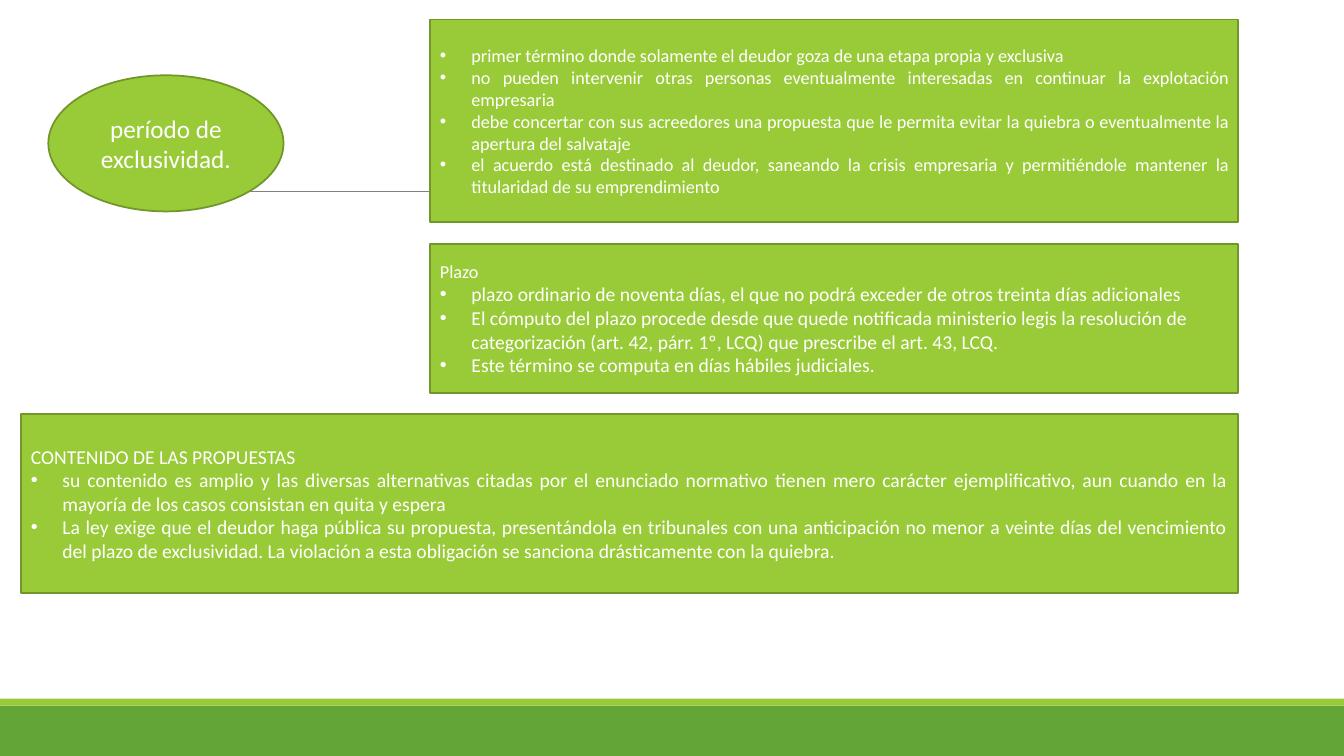
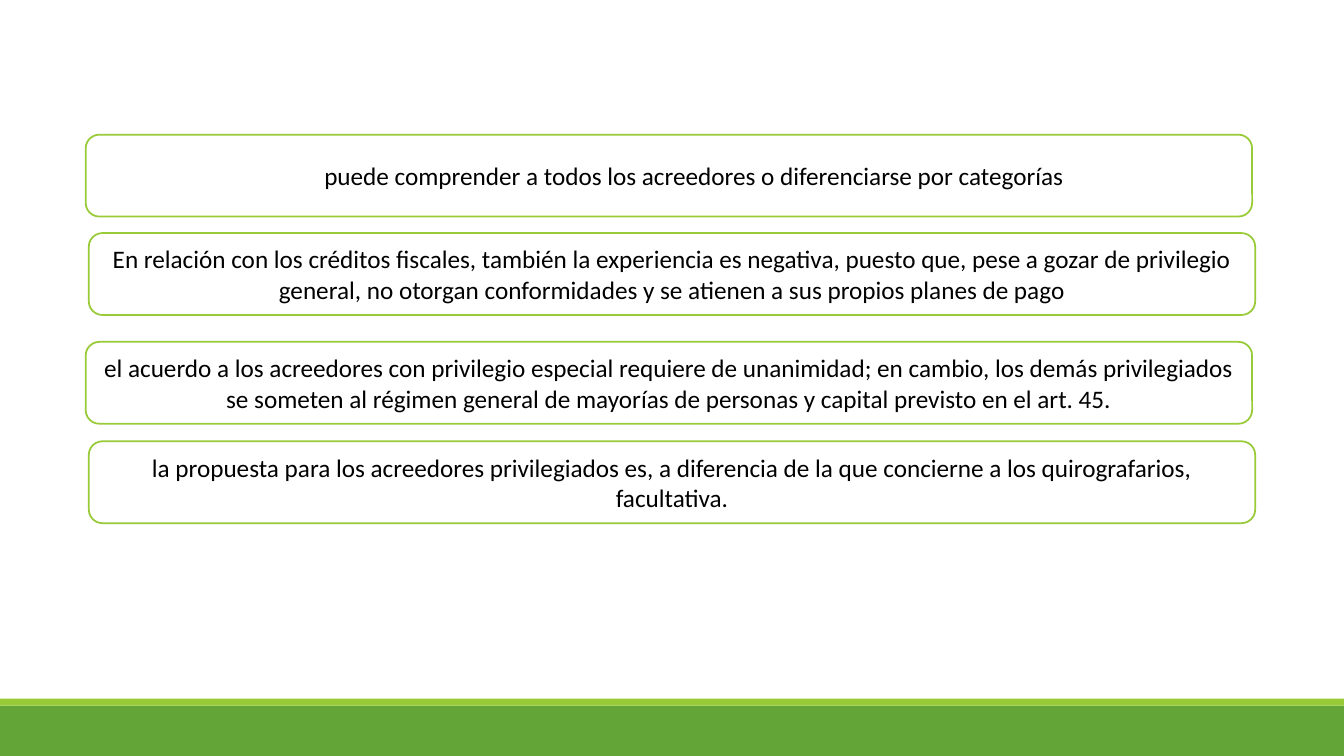
from dataclasses import dataclass

from lxml.etree import SubElement
from pptx import Presentation
from pptx.dml.color import RGBColor
from pptx.enum.shapes import MSO_CONNECTOR, MSO_SHAPE
from pptx.enum.text import MSO_ANCHOR, PP_ALIGN
from pptx.oxml.ns import qn
from pptx.presentation import Presentation as Deck
from pptx.shapes.autoshape import Shape
from pptx.slide import Slide
from pptx.text.text import TextFrame
from pptx.util import Pt

COLORS = {
    "band": "63A537",
    "lime": "99CB38",
    "olive": "719629",
    "rule": "808080",
    "white": "FFFFFF",
    "black": "000000",
}
FONT = "Calibri"
SLIDE_WIDTH, SLIDE_HEIGHT = 960, 540
BULLET_INDENT = 22.5
OUTLINE_WIDTH = 1.25


@dataclass(frozen=True)
class Box:
    left: float
    top: float
    width: float
    height: float


@dataclass(frozen=True)
class Panel:
    box: Box
    bullets: tuple[str, ...]
    heading: str = ""
    heading_size: float = 14
    bullet_size: float = 14
    align: PP_ALIGN = PP_ALIGN.JUSTIFY


@dataclass(frozen=True)
class Statement:
    left: float
    top: float
    text: str
    indent: float = 0


BANDS = (
    (Box(0, 504, SLIDE_WIDTH, 36), "band"),
    (Box(0, 499, SLIDE_WIDTH, 5), "lime"),
)

PERIOD = Box(34.5, 53.8, 168, 97.2)
RULE_START, RULE_END, RULE_TOP = 94.3, 879, 136.8
PANELS = (
    Panel(
        Box(307.2, 14, 577.3, 144.7),
        (
            "primer término donde solamente el deudor goza de una etapa propia y exclusiva",
            "no pueden intervenir otras personas eventualmente interesadas en continuar "
            "la explotación empresaria",
            "debe concertar con sus acreedores una propuesta que le permita evitar la "
            "quiebra o eventualmente la apertura del salvataje",
            "el acuerdo está destinado al deudor, saneando la crisis empresaria y "
            "permitiéndole mantener la titularidad de su emprendimiento",
        ),
        bullet_size=13,
    ),
    Panel(
        Box(307.2, 174.2, 577.3, 106.6),
        (
            "plazo ordinario de noventa días, el que no podrá exceder de otros treinta "
            "días adicionales",
            "El cómputo del plazo procede desde que quede notificada ministerio legis la "
            "resolución de categorización (art. 42, párr. 1º, LCQ) que prescribe el "
            "art. 43, LCQ.",
            "Este término se computa en días hábiles judiciales.",
        ),
        heading="Plazo",
        heading_size=13,
        align=PP_ALIGN.LEFT,
    ),
    Panel(
        Box(15, 295.7, 869.5, 128),
        (
            "su contenido es amplio y las diversas alternativas citadas por el enunciado "
            "normativo tienen mero carácter ejemplificativo, aun cuando en la mayoría de "
            "los casos consistan en quita y espera",
            "La ley exige que el deudor haga pública su propuesta, presentándola en "
            "tribunales con una anticipación no menor a veinte días del vencimiento del "
            "plazo de exclusividad. La violación a esta obligación se sanciona "
            "drásticamente con la quiebra.",
        ),
        heading="CONTENIDO DE LAS PROPUESTAS",
    ),
)

STATEMENT_WIDTH, STATEMENT_HEIGHT = 833.2, 58.5
STATEMENTS = (
    Statement(
        61.2, 96.2,
        "puede comprender a todos los acreedores o diferenciarse por categorías",
        indent=36,
    ),
    Statement(
        63.4, 166.5,
        "En relación con los créditos fiscales, también la experiencia es negativa, "
        "puesto que, pese a gozar de privilegio general, no otorgan conformidades y se "
        "atienen a sus propios planes de pago",
    ),
    Statement(
        61.2, 244.2,
        "el acuerdo a los acreedores con privilegio especial requiere de unanimidad; en "
        "cambio, los demás privilegiados se someten al régimen general de mayorías de "
        "personas y capital previsto en el art. 45.",
    ),
    Statement(
        63.4, 315.2,
        "la propuesta para los acreedores privilegiados es, a diferencia de la que "
        "concierne a los quirografarios, facultativa.",
    ),
)


def rgb(color: str) -> RGBColor:
    return RGBColor.from_string(COLORS[color])


def add_box(slide: Slide, kind: MSO_SHAPE, box: Box, fill: str, outline: str = "") -> Shape:
    shape = slide.shapes.add_shape(
        kind, Pt(box.left), Pt(box.top), Pt(box.width), Pt(box.height)
    )
    shape.shadow.inherit = False
    shape.fill.solid()
    shape.fill.fore_color.rgb = rgb(fill)
    if outline:
        shape.line.color.rgb = rgb(outline)
        shape.line.width = Pt(OUTLINE_WIDTH)
    else:
        shape.line.fill.background()
    shape.text_frame.word_wrap = True
    shape.text_frame.vertical_anchor = MSO_ANCHOR.MIDDLE
    return shape


def add_text(
    frame: TextFrame,
    text: str,
    *,
    size: float = 18,
    color: str = "white",
    align: PP_ALIGN = PP_ALIGN.CENTER,
    indent: float = 0,
    bullet: bool = False,
) -> None:
    """Fill the frame's first paragraph if it is empty, otherwise append one."""
    first = frame.paragraphs[0]
    paragraph = frame.add_paragraph() if first.runs else first
    paragraph.alignment = align
    properties = paragraph._p.get_or_add_pPr()
    if indent:
        properties.set("marL", str(Pt(indent)))
    if bullet:
        properties.set("indent", str(-Pt(indent)))
        SubElement(properties, qn("a:buFont")).set("typeface", "Arial")
        SubElement(properties, qn("a:buChar")).set("char", "•")
    run = paragraph.add_run()
    run.text = text
    run.font.name = FONT
    run.font.size = Pt(size)
    run.font.color.rgb = rgb(color)


def add_banded_slide(deck: Deck) -> Slide:
    slide = deck.slides.add_slide(deck.slide_layouts[6])
    for box, color in BANDS:
        add_box(slide, MSO_SHAPE.RECTANGLE, box, color)
    return slide


def add_rule(slide: Slide) -> None:
    rule = slide.shapes.add_connector(
        MSO_CONNECTOR.STRAIGHT, Pt(RULE_START), Pt(RULE_TOP), Pt(RULE_END), Pt(RULE_TOP)
    )
    rule.line.color.rgb = rgb("rule")
    rule.line.width = Pt(0.5)
    SubElement(rule.element.spPr, qn("a:effectLst"))


def add_panel(slide: Slide, panel: Panel) -> None:
    frame = add_box(slide, MSO_SHAPE.RECTANGLE, panel.box, "lime", "olive").text_frame
    if panel.heading:
        add_text(frame, panel.heading, size=panel.heading_size, align=panel.align)
    for item in panel.bullets:
        add_text(
            frame, item, size=panel.bullet_size, align=panel.align,
            indent=BULLET_INDENT, bullet=True,
        )


def build_exclusivity_slide(deck: Deck) -> None:
    slide = add_banded_slide(deck)
    add_rule(slide)
    period = add_box(slide, MSO_SHAPE.OVAL, PERIOD, "lime", "olive")
    add_text(period.text_frame, "período de exclusividad.")
    for panel in PANELS:
        add_panel(slide, panel)


def build_proposal_slide(deck: Deck) -> None:
    slide = add_banded_slide(deck)
    for statement in STATEMENTS:
        box = Box(statement.left, statement.top, STATEMENT_WIDTH, STATEMENT_HEIGHT)
        shape = add_box(slide, MSO_SHAPE.ROUNDED_RECTANGLE, box, "white", "lime")
        add_text(shape.text_frame, statement.text, color="black", indent=statement.indent)


def main() -> None:
    deck = Presentation()
    deck.slide_width, deck.slide_height = Pt(SLIDE_WIDTH), Pt(SLIDE_HEIGHT)
    build_exclusivity_slide(deck)
    build_proposal_slide(deck)
    deck.save("out.pptx")


if __name__ == "__main__":
    main()
